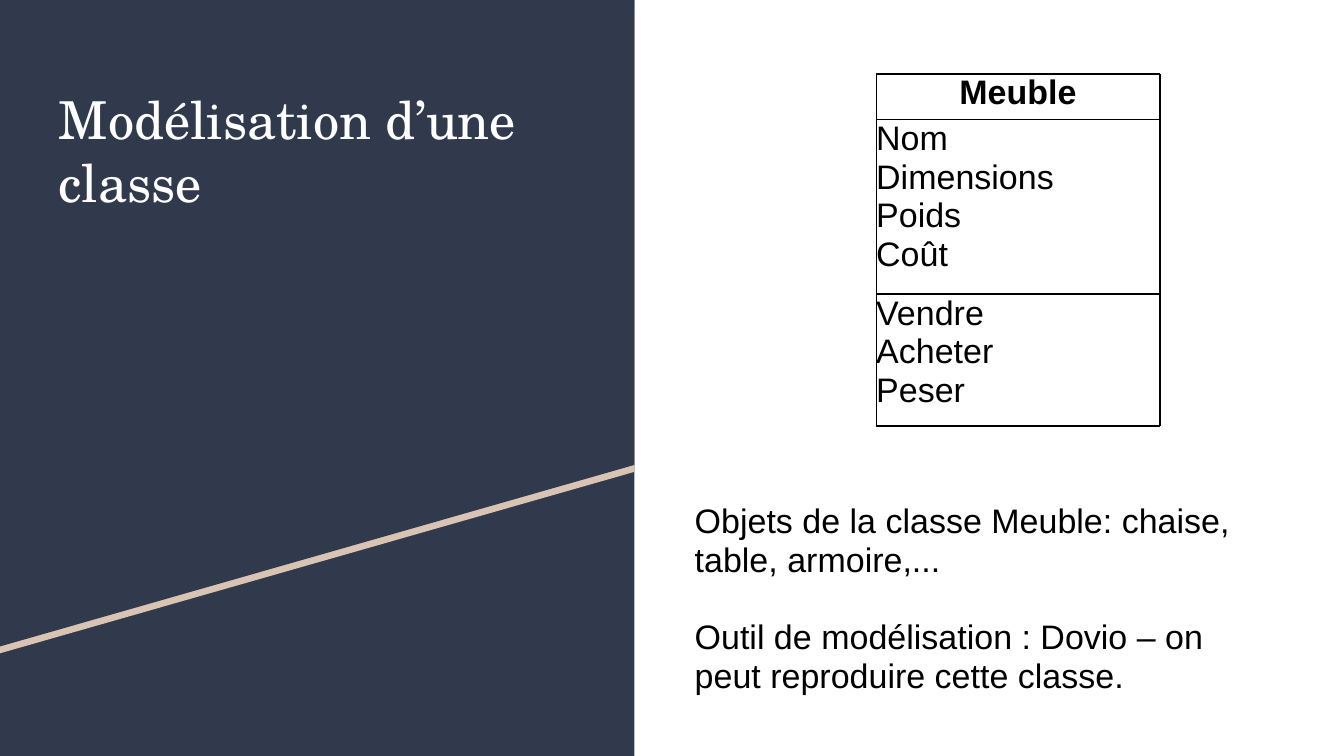
from itertools import pairwise

from lxml import etree
from pptx import Presentation
from pptx.dml.color import RGBColor
from pptx.enum.shapes import MSO_CONNECTOR, MSO_SHAPE
from pptx.enum.text import MSO_ANCHOR, MSO_AUTO_SIZE, PP_ALIGN
from pptx.oxml.ns import qn
from pptx.util import Cm, Pt

STRAIGHT = MSO_CONNECTOR.STRAIGHT
RECTANGLE = MSO_SHAPE.RECTANGLE
TOP = MSO_ANCHOR.TOP
NO_AUTOFIT = MSO_AUTO_SIZE.NONE
LEFT, CENTER = PP_ALIGN.LEFT, PP_ALIGN.CENTER

NAVY, SAND, WHITE, BLACK = "31394D", "D9C4B1", "FFFFFF", "000000"
TITLE_FONT, BODY_FONT = "TeX Gyre Schola", "Arial"
BODY_SIZE = 18.2

SLIDE_WIDTH, SLIDE_HEIGHT = 25.4, 14.29
PANEL_WIDTH = 11.99
SLOPE_LEFT, SLOPE_RIGHT = 12.22, 8.79
STRIPE_DEPTH = 0.13

CLASS_LEFT, CLASS_RIGHT = 16.56, 21.92
CLASS_EDGES = [1.4, 2.26, 5.56, 8.05]
CLASS_SECTIONS = [
    ["Meuble"],
    ["Nom", "Dimensions", "Poids", "Coût"],
    ["Vendre", "Acheter", "Peser"],
]
NOTES = [
    "Objets de la classe Meuble: chaise, table, armoire,...",
    "Outil de modélisation : Dovio – on peut reproduire cette classe.",
]


def color(hex_code):
    return RGBColor.from_string(hex_code)


def paint(shape, fill):
    shape.shadow.inherit = False
    shape.fill.solid()
    shape.fill.fore_color.rgb = color(fill)
    shape.line.fill.background()


def add_run(paragraph, text, font_name, size, text_color, bold=False):
    run = paragraph.add_run()
    run.text = text
    run.font.name = font_name
    run.font.size = Pt(size)
    run.font.bold = bold
    run.font.color.rgb = color(text_color)


def set_frame(frame, margin):
    frame.word_wrap = True
    frame.auto_size = NO_AUTOFIT
    frame.vertical_anchor = TOP
    frame.margin_left = frame.margin_right = Cm(margin)
    frame.margin_top = frame.margin_bottom = Cm(margin)


def add_text(slide, left, top, width, height, lines, heading=False, gap=0):
    """Add one paragraph per line, with gap points between paragraphs."""
    box = slide.shapes.add_textbox(Cm(left), Cm(top), Cm(width), Cm(height))
    frame = box.text_frame
    set_frame(frame, 0)
    for index, line in enumerate(lines):
        paragraph = frame.add_paragraph() if index else frame.paragraphs[0]
        paragraph.alignment = CENTER if heading else LEFT
        paragraph.line_spacing = 0.95
        paragraph.space_before = Pt(gap if index else 0)
        add_run(paragraph, line, BODY_FONT, BODY_SIZE, BLACK, heading)


def add_line(slide, x1, y1, x2, y2):
    line = slide.shapes.add_connector(STRAIGHT, Cm(x1), Cm(y1), Cm(x2), Cm(y2))
    line.line.color.rgb = color(BLACK)
    line.line.width = Pt(0.75)
    etree.SubElement(line._element.spPr, qn("a:effectLst"))


def add_slope(slide, top, fill):
    """Add a block whose lower edge rises to the right, shifted down by top."""
    builder = slide.shapes.build_freeform(Cm(0), Cm(top))
    builder.add_line_segments([
        (Cm(PANEL_WIDTH), Cm(top)),
        (Cm(PANEL_WIDTH), Cm(SLOPE_RIGHT + top)),
        (Cm(0), Cm(SLOPE_LEFT + top)),
    ])
    paint(builder.convert_to_shape(), fill)


def add_panel(slide):
    panel = slide.shapes.add_shape(
        RECTANGLE, Cm(0), Cm(0), Cm(PANEL_WIDTH), Cm(SLIDE_HEIGHT))
    paint(panel, NAVY)
    add_slope(slide, STRIPE_DEPTH, SAND)
    add_slope(slide, 0, NAVY)


def set_title(slide, text):
    title = slide.shapes.title
    title.left, title.top = Cm(0.86), Cm(1.4)
    title.width, title.height = Cm(10.29), Cm(6.96)
    set_frame(title.text_frame, 0.25)
    paragraph = title.text_frame.paragraphs[0]
    paragraph.alignment = LEFT
    add_run(paragraph, text, TITLE_FONT, 28, WHITE)
    # Bring the title in front of the panel
    title._element.getparent().append(title._element)


def add_class_diagram(slide):
    width = CLASS_RIGHT - CLASS_LEFT
    sections = zip(pairwise(CLASS_EDGES), CLASS_SECTIONS)
    for index, ((top, bottom), members) in enumerate(sections):
        add_text(slide, CLASS_LEFT, top, width, bottom - top, members,
                 heading=index == 0)
        for x in (CLASS_LEFT, CLASS_RIGHT):
            add_line(slide, x, top, x, bottom)
    for y in CLASS_EDGES:
        add_line(slide, CLASS_LEFT, y, CLASS_RIGHT, y)


def main():
    presentation = Presentation()
    presentation.slide_width = Cm(SLIDE_WIDTH)
    presentation.slide_height = Cm(SLIDE_HEIGHT)
    slide = presentation.slides.add_slide(presentation.slide_layouts[5])
    add_panel(slide)
    set_title(slide, "Modélisation d’une classe")
    add_class_diagram(slide)
    add_text(slide, 13.13, 9.5, 10.77, 3.71, NOTES, gap=20.8)
    presentation.save("out.pptx")


if __name__ == "__main__":
    main()
